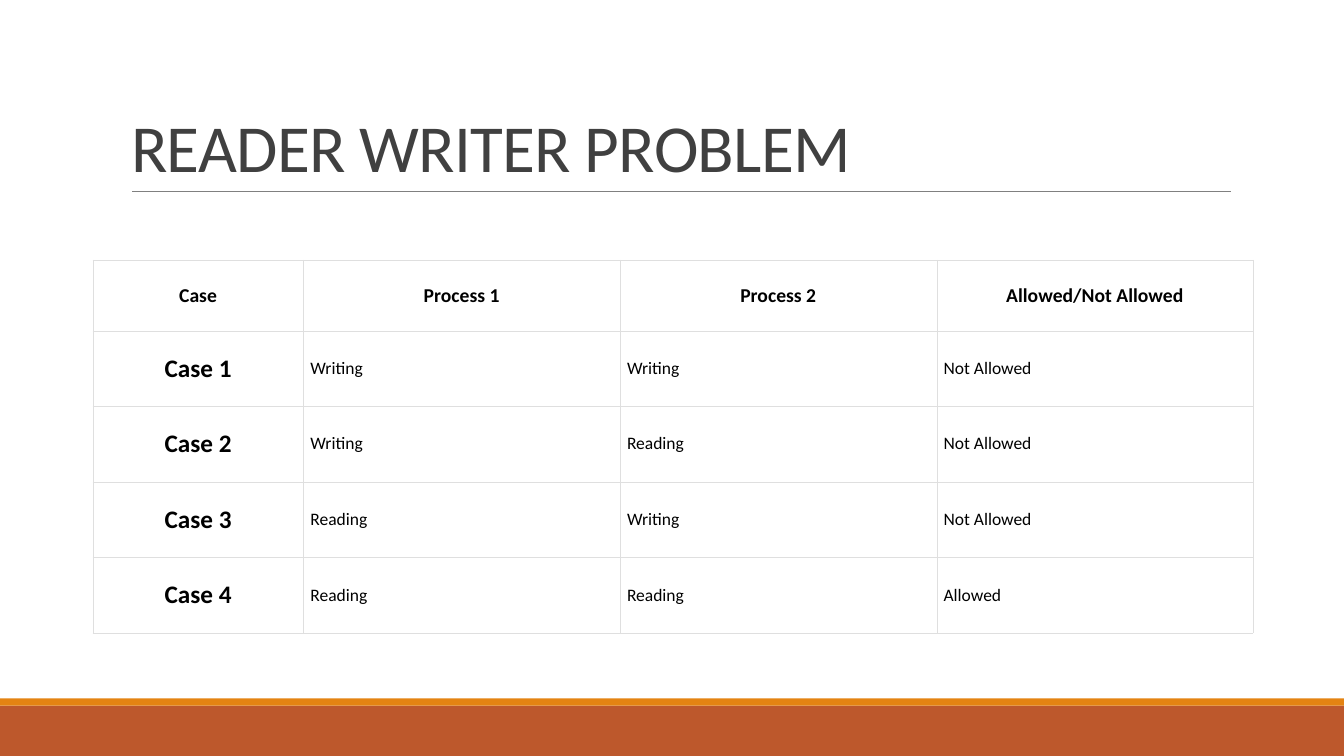
import pptx
import pptx.util
import pptx.dml.color
import pptx.enum.shapes
import pptx.enum.text
import pptx.oxml
import pptx.oxml.ns

TITLE = "READER WRITER PROBLEM"
ROWS = [
    ("Case", "Process 1", "Process 2", "Allowed/Not Allowed"),
    ("Case 1", "Writing", "Writing", "Not Allowed"),
    ("Case 2", "Writing", "Reading", "Not Allowed"),
    ("Case 3", "Reading", "Writing", "Not Allowed"),
    ("Case 4", "Reading", "Reading", "Allowed"),
]
HUES = {"rust": "BD582C", "amber": "E48312", "rule": "808080", "title": "404040",
        "text": "000000", "cell": "FFFFFF", "edge": "DFDFDF"}
BANDS = [("rust", 7, 0.5), ("amber", 6.93, 0.07)]
WIDE, HIGH = 13.33, 7.5
WIDTHS = [2.09] + [3.14] * 3
HEIGHTS = [0.7] + [0.75] * 4

Inches, Pt = pptx.util.Inches, pptx.util.Pt
ALIGN = pptx.enum.text.PP_ALIGN
ANCHOR = pptx.enum.text.MSO_ANCHOR
HEAD = {"size": Pt(14), "bold": True}
LABEL = {"size": Pt(18), "bold": True}
BODY = {"size": Pt(12.5), "bold": False}


def hue(name):
    return pptx.dml.color.RGBColor.from_string(HUES[name])


def apply(item, values):
    for key, value in values.items():
        setattr(item, key, value)


def paint(fill, name):
    fill.solid()
    fill.fore_color.rgb = hue(name)


def write(para, text, color, font):
    run = para.add_run()
    run.text = text
    apply(run.font, {"name": "Calibri", **font})
    run.font.color.rgb = hue(color)
    return run


def edge(cell):
    props = cell._tc.get_or_add_tcPr()
    for index, side in enumerate(("lnL", "lnR", "lnT", "lnB")):
        props.insert(index, pptx.oxml.parse_xml(
            f'<a:{side} {pptx.oxml.ns.nsdecls("a")} w="1905"><a:solidFill>'
            f'<a:srgbClr val="{HUES["edge"]}"/></a:solidFill></a:{side}>'))


def add_bands(slide):
    for name, top, tall in BANDS:
        band = slide.shapes.add_shape(
            pptx.enum.shapes.MSO_SHAPE.RECTANGLE,
            0, Inches(top), Inches(WIDE), Inches(tall))
        paint(band.fill, name)
        band.line.fill.background()
        band.shadow.inherit = False


def add_rule(slide):
    rule = slide.shapes.add_connector(
        pptx.enum.shapes.MSO_CONNECTOR.STRAIGHT,
        Inches(1.31), Inches(1.9), Inches(12.21), Inches(1.9))
    rule.line.color.rgb = hue("rule")
    rule.line.width = Pt(0.5)
    rule._element.spPr.append(pptx.oxml.parse_xml(
        f'<a:effectLst {pptx.oxml.ns.nsdecls("a")}/>'))


def add_title(slide):
    title = slide.shapes.title
    apply(title, {"left": Inches(1.2), "top": Inches(0.31),
                  "width": Inches(11), "height": Inches(1.59)})
    apply(title.text_frame, {"vertical_anchor": ANCHOR.BOTTOM, "word_wrap": True,
                             "auto_size": pptx.enum.text.MSO_AUTO_SIZE.NONE})
    para = title.text_frame.paragraphs[0]
    apply(para, {"alignment": ALIGN.LEFT, "line_spacing": 0.85})
    run = write(para, TITLE, "title", {"size": Pt(48), "bold": False})
    run.font._element.set("spc", "-50")


def add_cases(slide):
    table = slide.shapes.add_table(
        len(ROWS), len(WIDTHS), Inches(0.92), Inches(2.58),
        Inches(sum(WIDTHS)), Inches(sum(HEIGHTS))).table
    for col, wide in zip(table.columns, WIDTHS):
        col.width = Inches(wide)
    for row, tall in zip(table.rows, HEIGHTS):
        row.height = Inches(tall)
    for r, row in enumerate(ROWS):
        for c, text in enumerate(row):
            cell = table.cell(r, c)
            font = HEAD if r == 0 else LABEL if c == 0 else BODY
            side = Inches(0.04 if c == 0 else 0.07)
            pad = Inches(0.07 if r == 0 else 0.03 if c == 0 else 0.1)
            apply(cell, {"margin_left": side, "margin_right": side,
                         "margin_top": pad, "margin_bottom": pad,
                         "vertical_anchor": ANCHOR.MIDDLE})
            paint(cell.fill, "cell")
            edge(cell)
            para = cell.text_frame.paragraphs[0]
            para.alignment = ALIGN.LEFT if font is BODY else ALIGN.CENTER
            write(para, text, "text", font)


def main():
    deck = pptx.Presentation()
    apply(deck, {"slide_width": Inches(WIDE), "slide_height": Inches(HIGH)})
    slide = deck.slides.add_slide(deck.slide_layouts[5])
    add_bands(slide)
    add_rule(slide)
    add_title(slide)
    add_cases(slide)
    deck.save("out.pptx")


if __name__ == "__main__":
    main()
